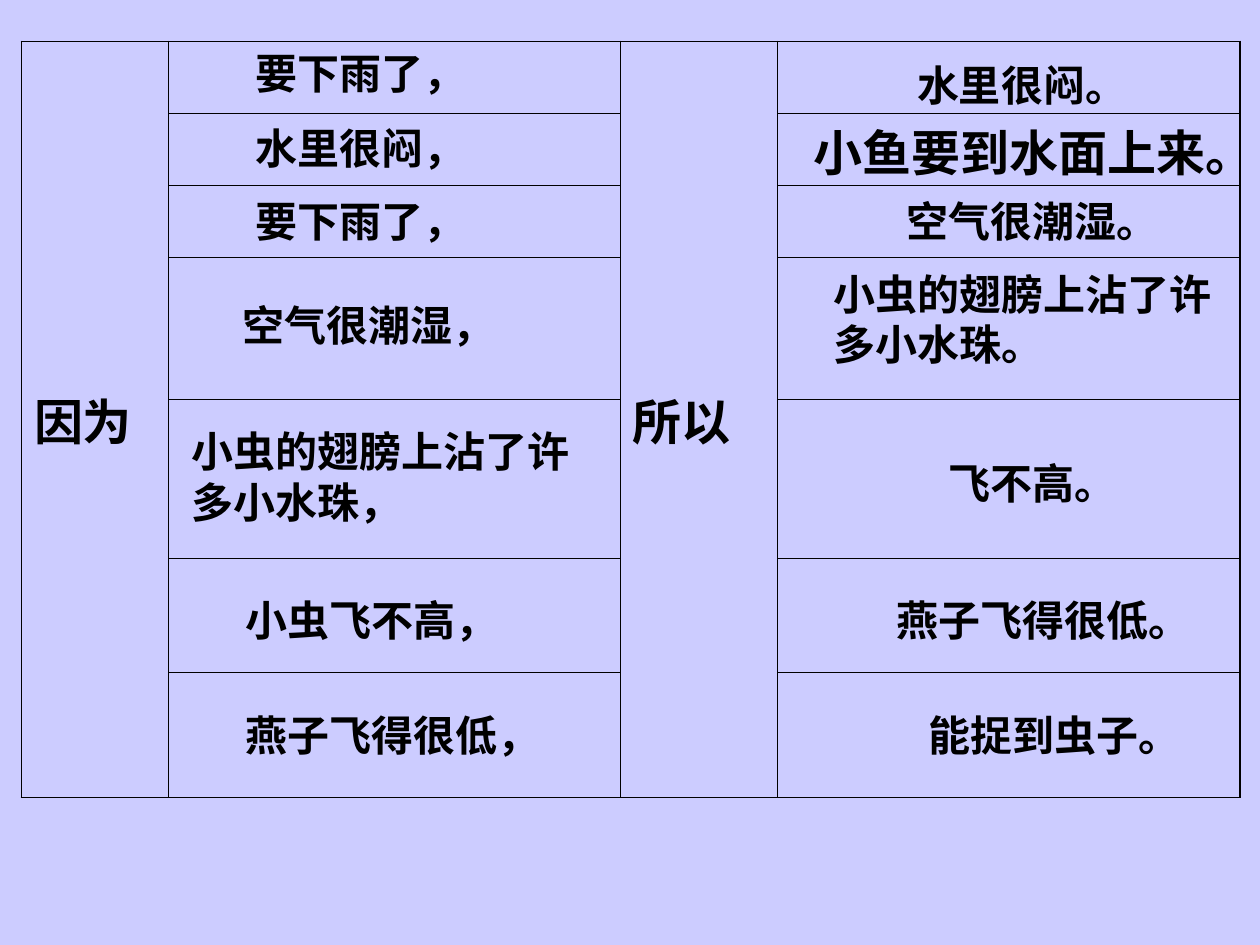
from lxml.etree import SubElement
from pptx import Presentation
from pptx.dml.color import RGBColor
from pptx.enum.text import MSO_ANCHOR, MSO_AUTO_SIZE
from pptx.oxml.ns import qn
from pptx.util import Inches, Pt

COLORS = {"background": "CCCCFF", "ink": "000000"}
FONT = "Times New Roman"
OUTER_LINE, INNER_LINE = Pt(1.08), Pt(0.45)
COLUMN_WIDTHS = [1.17, 3.58, 1.25, 3.67]
ROW_HEIGHTS = [0.57, 0.57, 0.57, 1.13, 1.26, 0.91, 0.99]
CONJUNCTIONS = {0: "因为", 2: "所以"}

# Lines, left, top, width, height, text size
CAUSES = [
    (["要下雨了，"], 1.93, 0.33, 1.86, 0.5, 24),
    (["水里很闷，"], 1.93, 0.92, 1.86, 0.5, 24),
    (["要下雨了，"], 1.93, 1.5, 1.86, 0.5, 24),
    (["空气很潮湿，"], 1.83, 2.33, 2.2, 0.5, 24),
    (["小虫的翅膀上沾了许", "多小水珠，"], 1.42, 3.33, 3.25, 0.9, 24),
    (["小虫飞不高，"], 1.85, 4.67, 2.2, 0.5, 24),
    (["燕子飞得很低，"], 1.85, 5.58, 2.53, 0.5, 24),
]
RESULTS = [
    (["水里很闷。"], 7.18, 0.42, 1.86, 0.5, 24),
    (["小鱼要到水面上来。"], 6.36, 0.92, 3.69, 0.57, 28),
    (["空气很潮湿。"], 7.1, 1.5, 2.2, 0.5, 24),
    (["小虫的翅膀上沾了许", "多小水珠。"], 6.52, 2.08, 3.2, 0.9, 24),
    (["飞不高。"], 7.43, 3.58, 1.53, 0.5, 24),
    (["燕子飞得很低。"], 7.02, 4.67, 2.53, 0.5, 24),
    (["能捉到虫子。"], 7.27, 5.58, 2.2, 0.5, 24),
]


def write_lines(frame, lines, size):
    for index, line in enumerate(lines):
        paragraph = frame.add_paragraph() if index else frame.paragraphs[0]
        run = paragraph.add_run()
        run.text = line
        run.font.name = FONT
        run.font.size = Pt(size)
        run.font.bold = True
        run.font.color.rgb = RGBColor.from_string(COLORS["ink"])


def set_borders(cell, outer_sides):
    properties = cell._tc.get_or_add_tcPr()
    for side in "LRTB":
        width = OUTER_LINE if side in outer_sides else INNER_LINE
        border = SubElement(properties, qn(f"a:ln{side}"), w=str(int(width)))
        fill = SubElement(border, qn("a:solidFill"))
        SubElement(fill, qn("a:srgbClr"), val=COLORS["ink"])


def add_sentence_grid(slide, left, top, width, height):
    last_row, last_column = len(ROW_HEIGHTS) - 1, len(COLUMN_WIDTHS) - 1
    table = slide.shapes.add_table(
        last_row + 1, last_column + 1,
        Inches(left), Inches(top), Inches(width), Inches(height)).table
    table.first_row = table.horz_banding = False
    for column, column_width in zip(table.columns, COLUMN_WIDTHS):
        column.width = Inches(column_width)
    for row, row_height in zip(table.rows, ROW_HEIGHTS):
        row.height = Inches(row_height)

    for column, conjunction in CONJUNCTIONS.items():
        merged = table.cell(0, column)
        merged.merge(table.cell(last_row, column))
        merged.vertical_anchor = MSO_ANCHOR.MIDDLE
        write_lines(merged.text_frame, [conjunction], 28)

    for row in range(last_row + 1):
        for column in range(last_column + 1):
            cell = table.cell(row, column)
            reaches_bottom = row == last_row or cell.is_merge_origin
            edges = {"L": column == 0, "R": column == last_column,
                     "T": row == 0, "B": reaches_bottom}
            set_borders(cell, [side for side, outer in edges.items() if outer])
            cell.fill.background()


def add_clause(slide, lines, left, top, width, height, size):
    box = slide.shapes.add_textbox(
        Inches(left), Inches(top), Inches(width), Inches(height))
    frame = box.text_frame
    frame.word_wrap = False
    frame.auto_size = MSO_AUTO_SIZE.SHAPE_TO_FIT_TEXT
    write_lines(frame, lines, size)


def main():
    deck = Presentation()
    deck.slide_width, deck.slide_height = Inches(10), Inches(7.5)
    slide = deck.slides.add_slide(deck.slide_layouts[6])
    background = slide.background.fill
    background.solid()
    background.fore_color.rgb = RGBColor.from_string(COLORS["background"])

    add_sentence_grid(slide, 0.17, 0.33, 9.67, 6)
    for clause in CAUSES + RESULTS:
        add_clause(slide, *clause)
    deck.save("out.pptx")


if __name__ == "__main__":
    main()
